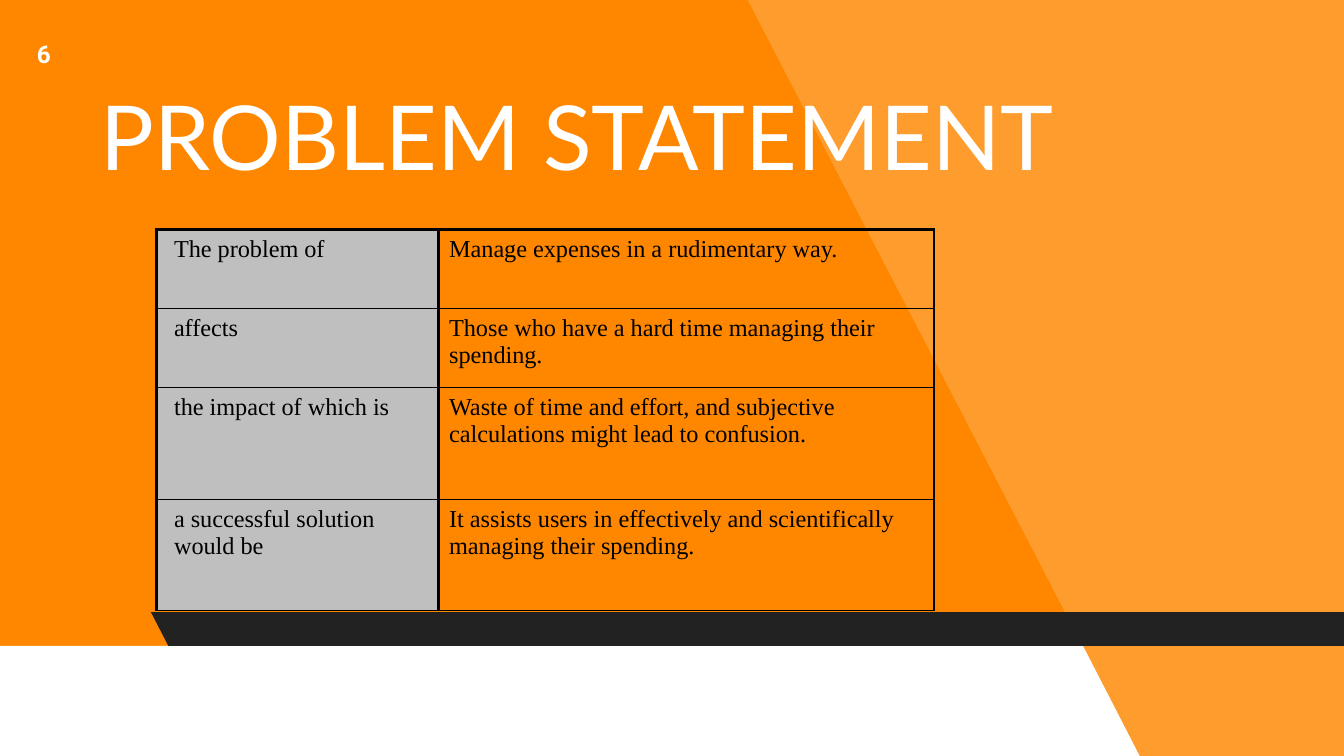
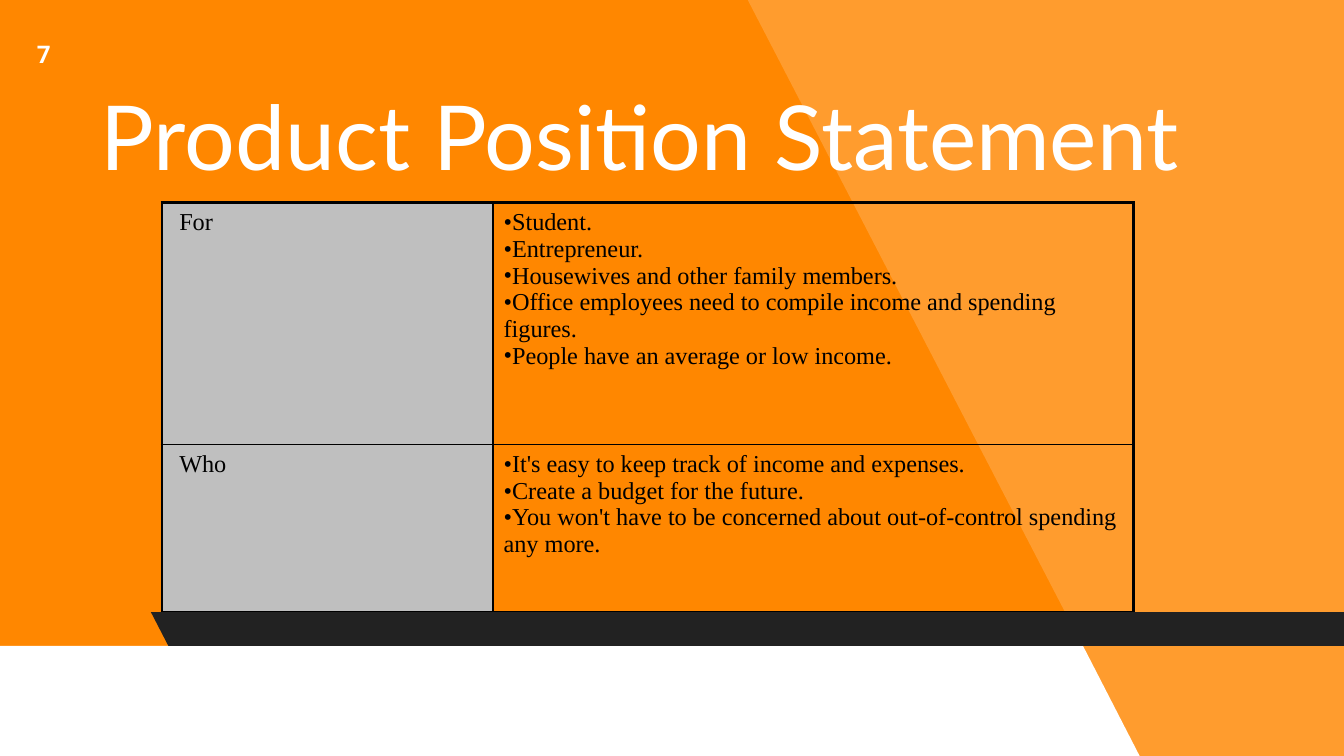
import dataclasses
import lxml.etree
import pptx
import pptx.dml.color
import pptx.enum.shapes
import pptx.enum.text
import pptx.oxml.ns
import pptx.util

Pt = pptx.util.Pt
qn = pptx.oxml.ns.qn
Align = pptx.enum.text.PP_ALIGN
Anchor = pptx.enum.text.MSO_ANCHOR


@dataclasses.dataclass(frozen=True)
class Font:
    name: str
    size: float
    color: str
    bold: bool = False


@dataclasses.dataclass(frozen=True)
class Theme:
    back: str = "FF8700"
    white: str = "FFFFFF"
    dark: str = "222222"
    gray: str = "BFBFBF"
    black: str = "000000"
    glow: int = 18
    slant: float = 0.515
    thick: float = 1.5
    thin: float = 0.75
    title: Font = Font("Lato", 48, white)
    number: Font = Font("Roboto", 13, white, True)
    body: Font = Font("Times New Roman", 13, black)


THEME = Theme()


def rgb(code):
    return pptx.dml.color.RGBColor.from_string(code)


def paint(shape, color):
    shape.shadow.inherit = False
    shape.fill.solid()
    shape.fill.fore_color.rgb = rgb(color)
    shape.line.fill.background()


def add_run(para, text, font):
    run = para.add_run()
    run.text = text
    run.font.name = font.name
    run.font.size = Pt(font.size)
    run.font.bold = font.bold
    run.font.color.rgb = rgb(font.color)


def add_text(slide, box, text, font, anchor, align):
    frame = slide.shapes.add_textbox(*map(Pt, box)).text_frame
    frame.word_wrap = True
    frame.vertical_anchor = anchor
    frame.margin_left = frame.margin_right = Pt(7.2)
    frame.margin_top = frame.margin_bottom = Pt(7.2)
    para = frame.paragraphs[0]
    para.alignment = align
    add_run(para, text, font)


def add_glow(slide):
    start, *rest = [
        (Pt(x), Pt(y))
        for x, y in [(400.6, 0), (612.2, 408.2), (724.3, 408.2), (724.3, -2.9)]
    ]
    path = slide.shapes.build_freeform(*start)
    path.add_line_segments(rest, close=True)
    shape = path.convert_to_shape()
    paint(shape, THEME.white)
    color = shape.fill._xPr.find(".//" + qn("a:srgbClr"))
    lxml.etree.SubElement(color, qn("a:alpha"), val=str(THEME.glow * 1000))


def add_band(slide, box, color):
    kind = pptx.enum.shapes.MSO_SHAPE.PARALLELOGRAM
    shape = slide.shapes.add_shape(kind, *map(Pt, box))
    shape.adjustments[0] = THEME.slant
    paint(shape, color)
    shape._element.spPr.find(qn("a:xfrm")).set("flipH", "1")


def add_edge(cell, place, side, width):
    line = lxml.etree.Element(qn("a:ln" + side), w=str(Pt(width)))
    fill = lxml.etree.SubElement(line, qn("a:solidFill"))
    lxml.etree.SubElement(fill, qn("a:srgbClr"), val=THEME.black)
    cell._tc.get_or_add_tcPr().insert(place, line)


def set_indent(para, left, first):
    props = para._p.get_or_add_pPr()
    props.set("marL", str(Pt(left)))
    props.set("indent", str(Pt(first)))
    return props


def add_bullet(para):
    props = set_indent(para, 0, -6.5)
    color = lxml.etree.SubElement(props, qn("a:buClr"))
    lxml.etree.SubElement(color, qn("a:srgbClr"), val=THEME.black)
    lxml.etree.SubElement(props, qn("a:buFont"), typeface=THEME.body.name)
    lxml.etree.SubElement(props, qn("a:buChar"), char="•")


def fill_cell(cell, content, label, top):
    cell.margin_left = cell.margin_right = Pt(5.75)
    cell.margin_top = cell.margin_bottom = Pt(3.6)
    if label:
        cell.fill.solid()
        cell.fill.fore_color.rgb = rgb(THEME.gray)
    else:
        cell.fill.background()
    edges = {"L": THEME.thick, "R": THEME.thick, "T": top, "B": THEME.thin}
    for place, (side, width) in enumerate(edges.items()):
        add_edge(cell, place, side, width)
    listed = isinstance(content, list)
    for i, text in enumerate(content if listed else [content]):
        frame = cell.text_frame
        para = frame.add_paragraph() if i else frame.paragraphs[0]
        if listed:
            add_bullet(para)
        elif label:
            set_indent(para, 3.6, 0)
        add_run(para, text, THEME.body)


def add_table(slide, left, top, widths, heights, rows):
    box = (left, top, sum(widths), sum(heights))
    table = slide.shapes.add_table(len(rows), len(widths), *map(Pt, box)).table
    table.first_row = table.horz_banding = False
    for column, width in zip(table.columns, widths):
        column.width = Pt(width)
    for row, height in zip(table.rows, heights):
        row.height = Pt(height)
    for r, row in enumerate(rows):
        for c, content in enumerate(row):
            edge = THEME.thin if r else THEME.thick
            fill_cell(table.cell(r, c), content, c == 0, edge)


def add_slide(deck, number, title):
    slide = deck.slides.add_slide(deck.slide_layouts[6])
    slide.background.fill.solid()
    slide.background.fill.fore_color.rgb = rgb(THEME.back)
    add_glow(slide)
    add_band(slide, (-33.1, 346, 643.7, 59), THEME.white)
    add_band(slide, (80.9, 328, 658.8, 18), THEME.dark)
    add_text(slide, (46.9, 17.1, 633.6, 91.2), title, THEME.title,
             Anchor.BOTTOM, Align.LEFT)
    add_text(slide, (0, 0, 46.8, 57.6), number, THEME.number,
             Anchor.MIDDLE, Align.CENTER)
    return slide


def main():
    deck = pptx.Presentation()
    deck.slide_width, deck.slide_height = Pt(720), Pt(405)

    problem = add_slide(deck, "6", "PROBLEM STATEMENT")
    add_table(problem, 83.9, 123, (151, 265.6), (42.35, 42.35, 59.9, 59.6), [
        ("The problem of", "Manage expenses in a rudimentary way."),
        ("affects", "Those who have a hard time managing their spending."),
        ("the impact of which is",
         "Waste of time and effort, and subjective calculations might lead "
         "to confusion."),
        ("a successful solution would be",
         "It assists users in effectively and scientifically managing their "
         "spending."),
    ])

    product = add_slide(deck, "7", "Product Position Statement")
    add_table(product, 86.7, 108.5, (177.4, 343.2), (129.6, 89.3), [
        ("For", [
            "Student.",
            "Entrepreneur.",
            "Housewives and other family members.",
            "Office employees need to compile income and spending figures.",
            "People have an average or low income.",
        ]),
        ("Who", [
            "It's easy to keep track of income and expenses.",
            "Create a budget for the future.",
            "You won't have to be concerned about out-of-control spending "
            "any more.",
        ]),
    ])
    deck.save("out.pptx")


if __name__ == "__main__":
    main()
